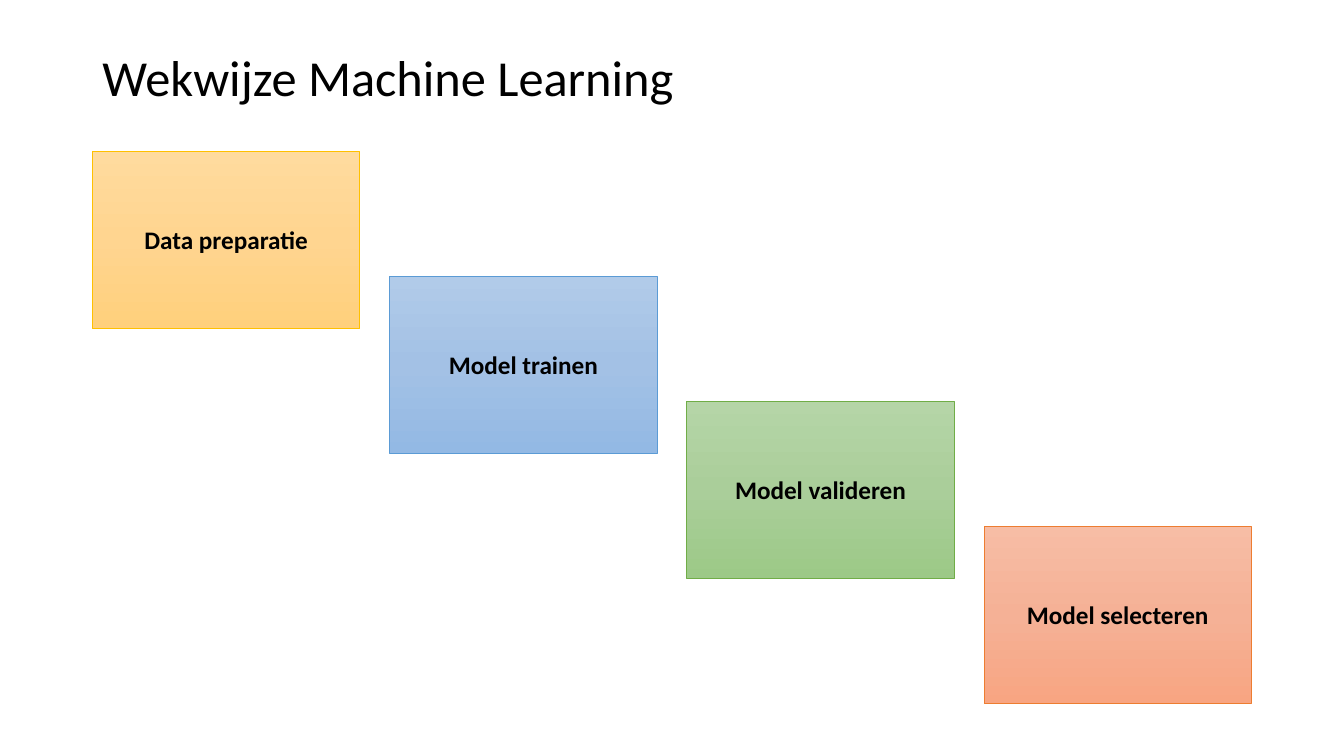
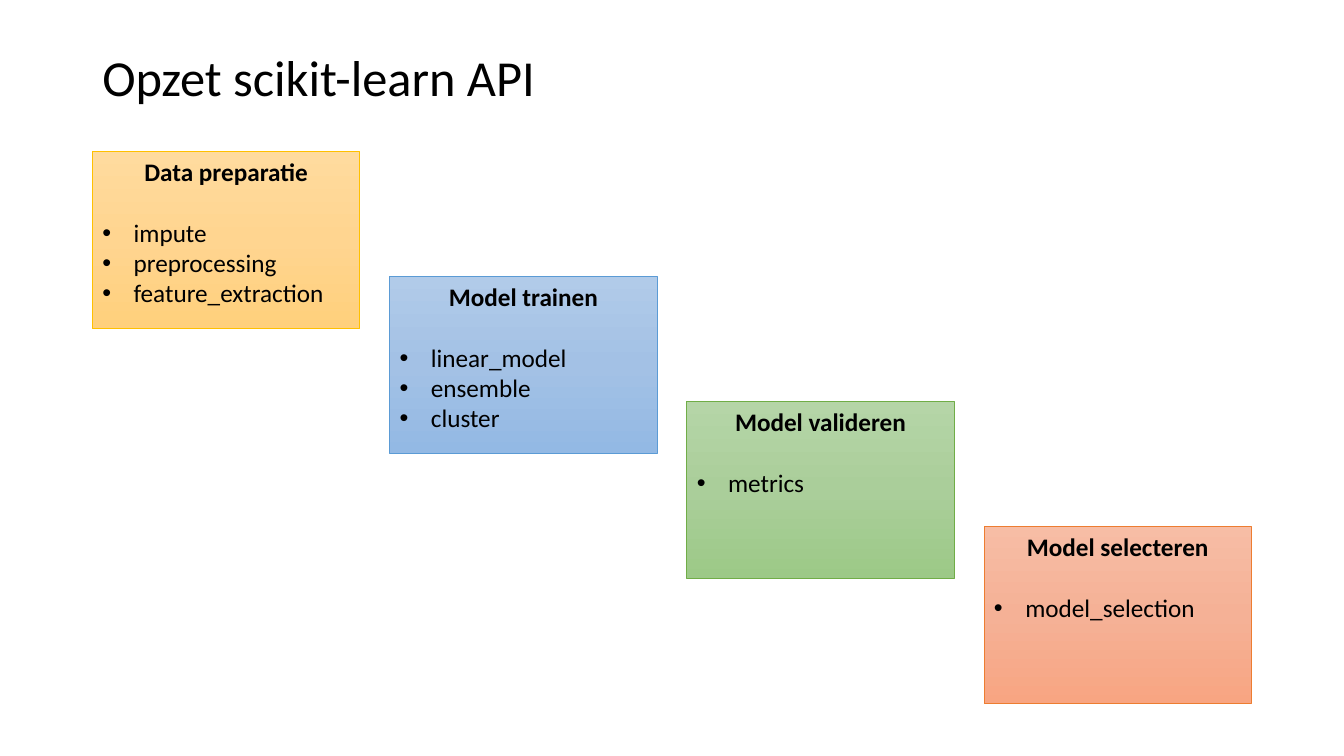
from copy import deepcopy
from dataclasses import dataclass

from lxml import etree
from pptx import Presentation
from pptx.dml.color import RGBColor
from pptx.enum.shapes import MSO_SHAPE
from pptx.enum.text import MSO_ANCHOR, PP_ALIGN
from pptx.oxml.ns import qn
from pptx.shapes.autoshape import Shape
from pptx.slide import Slide
from pptx.util import Cm, Pt

RECT = MSO_SHAPE.RECTANGLE
TOP, MIDDLE = MSO_ANCHOR.TOP, MSO_ANCHOR.MIDDLE
LEFT, CENTER = PP_ALIGN.LEFT, PP_ALIGN.CENTER

FONT = "Calibri"
BLACK = "000000"
EDGE, START = 2.33, 3.81
WIDTH, HEIGHT = 6.74, 4.47
STEP, DROP = 7.49, 3.15
INDENT = 0.79


@dataclass(frozen=True)
class Step:
    name: str
    line: str
    stops: tuple[str, str, str]
    items: tuple[str, ...]


STEPS = (
    Step("Data preparatie", "FFC000", ("FFDB9E", "FFD590", "FFD07C"),
         ("impute", "preprocessing", "feature_extraction")),
    Step("Model trainen", "5B9BD5", ("B1CBE9", "A3C1E5", "93B9E4"),
         ("linear_model", "ensemble", "cluster")),
    Step("Model valideren", "70AD47", ("B5D5A7", "AACE9A", "9CC987"),
         ("metrics",)),
    Step("Model selecteren", "ED7D31", ("F7BDA5", "F5B196", "F8A582"),
         ("model_selection",)),
)


def color(target, value: str) -> None:
    target.rgb = RGBColor.from_string(value)


def style(para, size: int, bold: bool = False) -> None:
    font = para.font
    font.name, font.size, font.bold = FONT, Pt(size), bold
    color(font.color, BLACK)


def shade(shape: Shape, stops: tuple[str, ...]) -> None:
    fill = shape.fill
    fill.gradient()
    fill.gradient_angle = 270
    first = shape._element.spPr.find(".//" + qn("a:gs"))
    first.addnext(deepcopy(first))
    for index, (stop, value) in enumerate(zip(fill.gradient_stops, stops)):
        stop.position = index / (len(stops) - 1)
        color(stop.color, value)


def bullet(para) -> None:
    props = para._p.get_or_add_pPr()
    props.set("marL", str(Cm(INDENT)))
    props.set("indent", str(-Cm(INDENT)))
    etree.SubElement(props, qn("a:buFont")).set("typeface", "Arial")
    etree.SubElement(props, qn("a:buChar")).set("char", "•")


def add_title(slide: Slide, text: str) -> None:
    width = 3 * STEP + WIDTH
    box = slide.shapes.add_textbox(Cm(EDGE), Cm(1.02), Cm(width), Cm(2.01))
    frame = box.text_frame
    frame.word_wrap = True
    frame.vertical_anchor = MIDDLE
    para = frame.paragraphs[0]
    para.text = text
    para.line_spacing = 0.9
    style(para, 36)


def add_step(slide: Slide, index: int, step: Step, detail: bool) -> None:
    shape = slide.shapes.add_shape(
        RECT, Cm(EDGE + index * STEP), Cm(START + index * DROP),
        Cm(WIDTH), Cm(HEIGHT))
    shape.shadow.inherit = False
    shade(shape, step.stops)
    color(shape.line.color, step.line)
    shape.line.width = Pt(0.5)
    frame = shape.text_frame
    frame.word_wrap = True
    frame.vertical_anchor = TOP if detail else MIDDLE
    head = frame.paragraphs[0]
    head.text = step.name
    head.alignment = CENTER
    style(head, 18, True)
    for row, item in enumerate(step.items if detail else ()):
        para = frame.add_paragraph()
        para.text = item
        para.alignment = LEFT
        para.space_before = Pt(0 if row else 22)
        bullet(para)
        style(para, 18)


def main() -> None:
    deck = Presentation()
    deck.slide_width, deck.slide_height = Cm(33.87), Cm(19.05)
    blank = deck.slide_layouts[6]
    for title, detail in (("Wekwijze Machine Learning", False),
                          ("Opzet scikit-learn API", True)):
        slide = deck.slides.add_slide(blank)
        add_title(slide, title)
        for index, step in enumerate(STEPS):
            add_step(slide, index, step, detail)
    deck.save("out.pptx")


if __name__ == "__main__":
    main()
